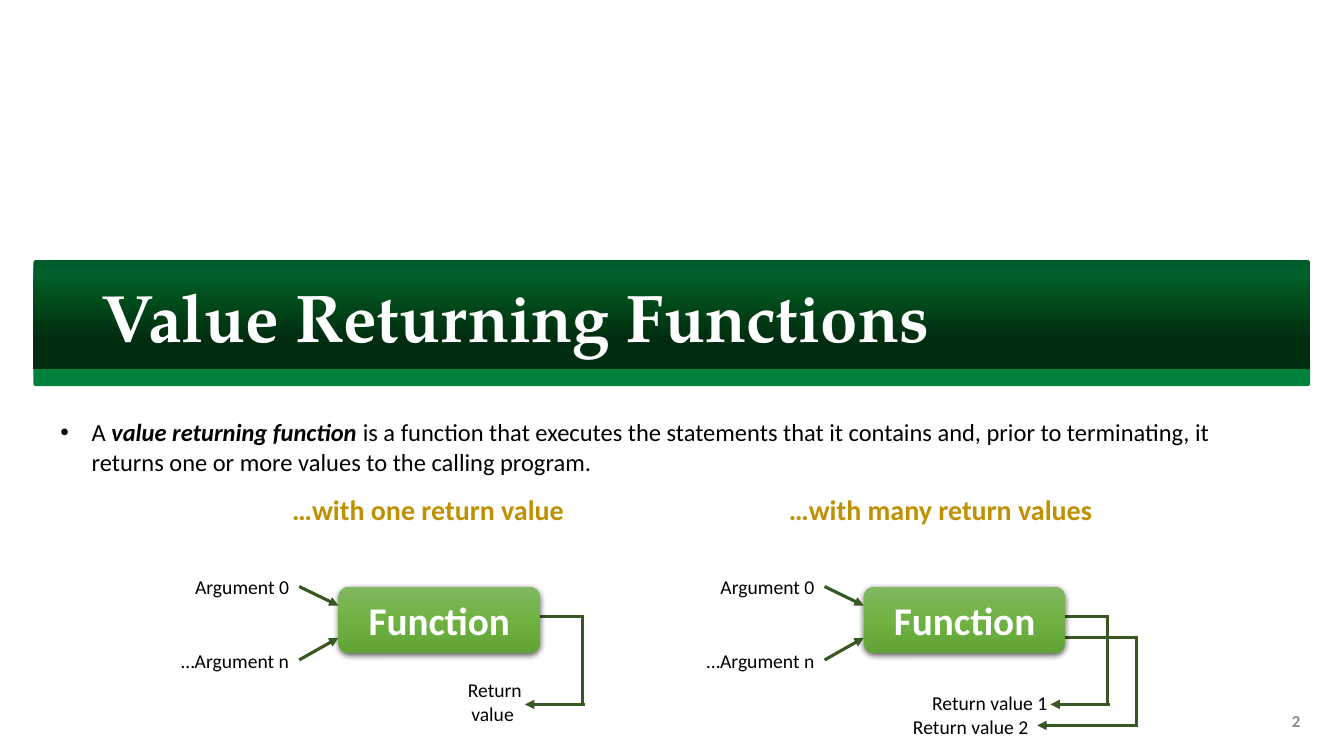
import lxml.etree
import pptx
import pptx.dml.color
import pptx.enum.shapes
import pptx.enum.text
import pptx.oxml.ns
import pptx.util

Cm = pptx.util.Cm
Pt = pptx.util.Pt
SHAPES = pptx.enum.shapes.MSO_SHAPE
ALIGN = pptx.enum.text.PP_ALIGN
ANCHOR = pptx.enum.text.MSO_ANCHOR
qn = pptx.oxml.ns.qn

COLOURS = {
    "strip": "00813B", "white": "FFFFFF", "black": "000000",
    "number": "8C8C8C", "heading": "BF9000", "arrow": "385723",
}
BAND_STOPS = [(0, "005C2B"), (15, "00602B"), (32, "00501D"), (72, "002D10")]
FUNCTION_STOPS = [(0, "81B861"), (50, "6FB242"), (100, "62A336")]


def colour(name):
    return pptx.dml.color.RGBColor.from_string(COLOURS[name])


def child(parent, tag, **attributes):
    return lxml.etree.SubElement(parent, qn(tag), attributes)


def add_run(paragraph, text, size, colour_name, bold=False, italic=False, font="Calibri"):
    run = paragraph.add_run()
    run.text = text
    run.font.name, run.font.size = font, Pt(size)
    run.font.bold, run.font.italic = bold, italic
    run.font.color.rgb = colour(colour_name)


def add_text(slide, left, top, width, height, lines, size, colour_name,
             align=ALIGN.LEFT, anchor=ANCHOR.TOP, wrap=False, **style):
    box = slide.shapes.add_textbox(Cm(left), Cm(top), Cm(width), Cm(height))
    frame = box.text_frame
    frame.word_wrap, frame.vertical_anchor = wrap, anchor
    for index, line in enumerate(lines):
        paragraph = frame.add_paragraph() if index else frame.paragraphs[0]
        paragraph.alignment = align
        add_run(paragraph, line, size, colour_name, **style)
    return frame


def add_block(slide, preset, left, top, width, height):
    shape = slide.shapes.add_shape(preset, Cm(left), Cm(top), Cm(width), Cm(height))
    shape.shadow.inherit = False
    shape.line.fill.background()
    return shape


def fill_gradient(shape, stops):
    shape.fill.gradient()
    shape.fill.gradient_angle = 270
    stop_list = shape._element.spPr.find(".//" + qn("a:gsLst"))
    for stop in list(stop_list):
        stop_list.remove(stop)
    for position, value in stops:
        stop = child(stop_list, "a:gs", pos=str(position * 1000))
        child(stop, "a:srgbClr", val=value)


def add_line(slide, start, end, arrow=False):
    points = [Cm(value) for value in (*start, *end)]
    connector = slide.shapes.add_connector(pptx.enum.shapes.MSO_CONNECTOR.STRAIGHT, *points)
    connector.line.color.rgb = colour("arrow")
    connector.line.width = Pt(2.25)
    properties = connector._element.spPr
    if arrow:
        child(properties.find(qn("a:ln")), "a:tailEnd", type="triangle")
    child(properties, "a:effectLst")


def add_title_band(slide, left, top, width, title):
    strip = add_block(slide, SHAPES.ROUND_2_SAME_RECTANGLE, left, top + 2.54, width, 0.64)
    strip.adjustments[0], strip.adjustments[1] = 0, 0.108
    strip.fill.solid()
    strip.fill.fore_color.rgb = colour("strip")
    band = add_block(slide, SHAPES.ROUND_2_SAME_RECTANGLE, left, top, width, 2.74)
    band.adjustments[0] = 0.028
    fill_gradient(band, BAND_STOPS)
    frame = add_text(slide, left + 1.47, top + 0.23, width - 2.97, 2.59, [title], 48, "white",
                     anchor=ANCHOR.MIDDLE, wrap=True, bold=True, font="TeX Gyre Pagella")
    frame.paragraphs[0].line_spacing = 0.9


def add_definition(slide, left, top, width, height):
    frame = add_text(slide, left, top, width, height, ["A "], 17.5, "black", wrap=True)
    paragraph = frame.paragraphs[0]
    add_run(paragraph, "value returning function ", 17.5, "black", bold=True, italic=True)
    add_run(paragraph, "is a function that executes the statements that it contains and, "
            "prior to terminating, it returns one or more values to the calling program.",
            17.5, "black")
    properties = paragraph._element.get_or_add_pPr()
    properties.set("marL", str(Cm(0.79)))
    properties.set("indent", str(-Cm(0.79)))
    child(properties, "a:buFont", typeface="Arial")
    child(properties, "a:buChar", char="•")


def add_function_box(slide, left, top):
    box = add_block(slide, SHAPES.ROUNDED_RECTANGLE, left, top, 5.08, 1.68)
    fill_gradient(box, FUNCTION_STOPS)
    shadow = child(box._element.spPr.find(qn("a:effectLst")), "a:outerShdw",
                   blurRad=str(Pt(4.5)), dist=str(Pt(1.5)), dir="5400000", rotWithShape="0")
    child(child(shadow, "a:srgbClr", val=COLOURS["black"]), "a:alpha", val="63000")
    box.text_frame.vertical_anchor = ANCHOR.MIDDLE
    paragraph = box.text_frame.paragraphs[0]
    paragraph.alignment = ALIGN.CENTER
    add_run(paragraph, "Function", 28, "white", bold=True)


def add_diagram(slide, left, top, heading, heading_box, returns):
    """Each return: exit y, corner x, tip (x, y), label box and label lines."""
    offset, width = heading_box
    add_text(slide, left + offset, top, width, 1.12, [heading], 20, "heading",
             align=ALIGN.CENTER, bold=True)

    # Return paths: out of the function, down, and back to the label
    overlap = 0.05
    for exit_y, corner_x, (tip_x, tip_y), label_box, lines in returns:
        corner = left + corner_x
        add_line(slide, (left + 9.22, top + exit_y), (corner, top + exit_y))
        add_line(slide, (corner, top + exit_y - overlap), (corner, top + tip_y + overlap))
        add_line(slide, (corner + overlap, top + tip_y), (left + tip_x, top + tip_y), arrow=True)
        label_x, label_y, label_width, label_height = label_box
        add_text(slide, left + label_x, top + label_y, label_width, label_height,
                 lines, 14, "black", align=ALIGN.CENTER)

    add_function_box(slide, left + 4.24, top + 2.49)

    # Arguments: label, its width and top, arrow start and end heights
    arguments = [("Argument 0", 2.9, 2.06, 2.49, 2.97), ("…Argument n", 3.25, 3.94, 4.34, 3.78)]
    for text, width, label_y, start_y, end_y in arguments:
        add_text(slide, left + 3.25 - width, top + label_y, width, 0.86, [text], 14, "black",
                 align=ALIGN.RIGHT)
        add_line(slide, (left + 3.25, top + start_y), (left + 4.24, top + end_y), arrow=True)


def build_slide(presentation):
    slide = presentation.slides.add_slide(presentation.slide_layouts[6])
    add_title_band(slide, 0.84, 6.55, 32.18, "Value Returning Functions")
    add_text(slide, 25.4, 17.65, 7.62, 1.02, ["2"], 12, "number",
             align=ALIGN.RIGHT, anchor=ANCHOR.MIDDLE, wrap=True, bold=True)
    add_definition(slide, 1.27, 10.39, 31.01, 1.78)
    add_diagram(slide, 4.29, 12.29, "…with one return value", (2.79, 7.42), [
        (3.25, 10.39, (8.94, 5.46), (7.24, 4.67, 1.88, 1.45), ["Return", "value "]),
    ])
    add_diagram(slide, 17.53, 12.29, "…with many return values", (2.06, 8.23), [
        (3.25, 10.39, (8.94, 5.46), (5.69, 5, 3.45, 0.86), ["Return value 1"]),
        (3.78, 11.1, (8.61, 5.99), (5.21, 5.61, 3.45, 0.86), ["Return value 2"]),
    ])


presentation = pptx.Presentation()
presentation.slide_width, presentation.slide_height = Cm(33.87), Cm(19.05)
build_slide(presentation)
presentation.save("out.pptx")
